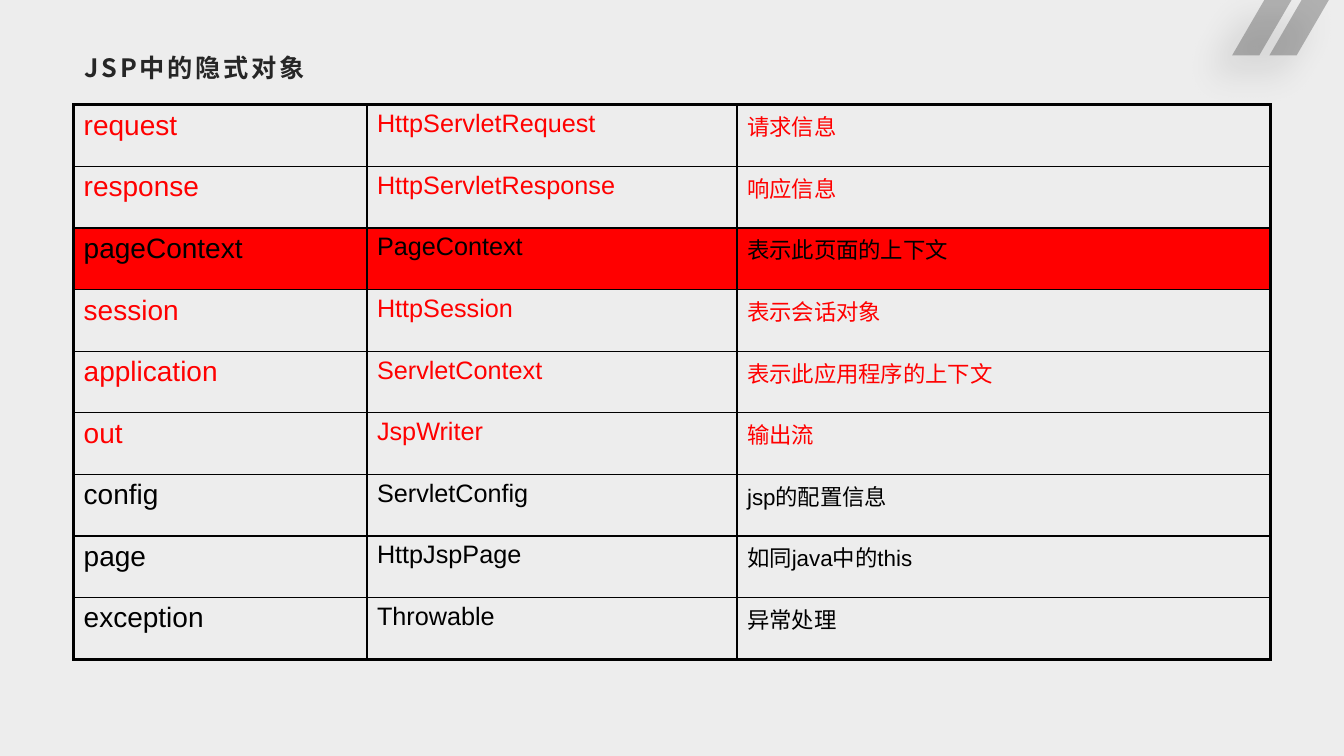
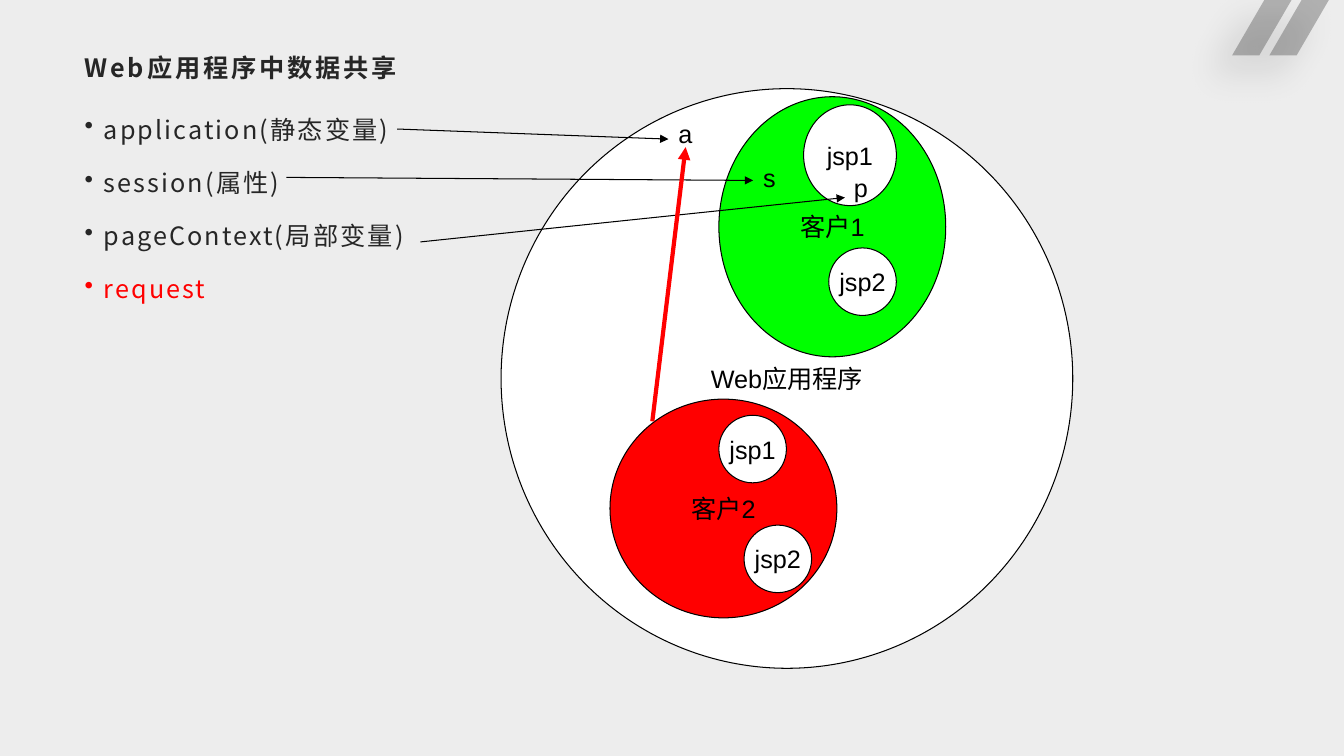
from pptx import Presentation
from pptx.dml.color import RGBColor
from pptx.enum.shapes import MSO_CONNECTOR, MSO_SHAPE
from pptx.enum.text import MSO_ANCHOR, PP_ALIGN
from pptx.oxml import parse_xml
from pptx.oxml.ns import nsdecls, qn
from pptx.util import Emu, Inches, Pt
from lxml.etree import SubElement

BLACK, WHITE, RED, GREEN = "000000", "FFFFFF", "FF0000", "00FF00"
DARK, BACKGROUND = "262626", "EDEDED"
LATIN, CHINESE = "Arial", "Noto Sans CJK SC"
MARGIN, CONTENT_TOP, CONTENT_WIDTH = 0.73, 1.04, 11.87


def color(hex_string):
    return RGBColor.from_string(hex_string)


def inches(*lengths):
    return [Inches(length) for length in lengths]


def write(paragraph, text, size=18, font=LATIN, fill=BLACK, bold=False, spacing=0):
    """Add a run; spacing is the gap between letters in points."""
    run = paragraph.add_run()
    run.text = text
    run.font.size = Pt(size)
    run.font.bold = bold
    run.font.color.rgb = color(fill)
    run.font.name = font
    properties = run.font._element
    properties.set("spc", str(int(spacing * 100)))
    properties.find(qn("a:latin")).addnext(
        parse_xml(f'<a:ea {nsdecls("a")} typeface="{CHINESE}"/>'))


def add_bullet(paragraph, indent):
    properties = paragraph._p.get_or_add_pPr()
    properties.set("marL", str(Inches(indent)))
    properties.set("indent", str(-Inches(indent)))
    SubElement(properties, qn("a:buChar"), char="•")


def set_border(cell, side, width):
    line = SubElement(cell._tc.get_or_add_tcPr(), qn(f"a:ln{side}"), w=str(Pt(width)))
    fill = SubElement(line, qn("a:solidFill"))
    SubElement(fill, qn("a:srgbClr"), val=BLACK)


class Deck:
    """Holds the presentation, its style and the current slide."""

    def __init__(self):
        self.presentation = Presentation()
        self.presentation.slide_width, self.presentation.slide_height = inches(13.33, 7.5)
        self.slide = None

    def add_slide(self, title):
        layout = self.presentation.slide_layouts[6]
        self.slide = self.presentation.slides.add_slide(layout)
        fill = self.slide.background.fill
        fill.solid()
        fill.fore_color.rgb = color(BACKGROUND)
        self.add_corner_stripes()
        frame = self.add_text_box(MARGIN, 0.48, CONTENT_WIDTH, 0.48, (0.11, 0.04, 0.08, 0.04))
        write(frame.paragraphs[0], title, font=CHINESE, fill=DARK, bold=True, spacing=2)

    def add_corner_stripes(self):
        """Draw two slanted, see-through stripes with a soft shadow."""
        builder = None
        for left in (12.22, 12.59):
            start, *others = [inches(left + dx, y) for dx, y in
                              ((0.32, 0), (0.59, 0), (0.27, 0.55), (0, 0.55))]
            if builder is None:
                builder = self.slide.shapes.build_freeform(*start)
            else:
                builder.move_to(*start)
            builder.add_line_segments(others)
        stripes = builder.convert_to_shape()
        stripes.fill.solid()
        stripes.fill.fore_color.rgb = color(DARK)
        stripes.line.fill.background()
        stripes.shadow.inherit = False
        properties = stripes._element.spPr
        SubElement(properties.find(f".//{qn('a:srgbClr')}"), qn("a:alpha"), val="30000")
        properties.find(qn("a:effectLst")).append(parse_xml(
            f'<a:outerShdw {nsdecls("a")} blurRad="{Pt(26)}" dist="{Pt(19)}" dir="{135 * 60000}"'
            f' algn="tr" rotWithShape="0"><a:srgbClr val="{BLACK}">'
            '<a:alpha val="40000"/></a:srgbClr></a:outerShdw>'))

    def add_text_box(self, left, top, width, height, insets=(0.1, 0.05, 0.1, 0.05), wrap=True):
        box = self.slide.shapes.add_textbox(*inches(left, top, width, height))
        frame = box.text_frame
        frame.word_wrap = wrap
        (frame.margin_left, frame.margin_top,
         frame.margin_right, frame.margin_bottom) = inches(*insets)
        return frame

    def add_label(self, text, left, top):
        frame = self.add_text_box(left, top, 0.34, 0.4, wrap=False)
        write(frame.paragraphs[0], text)

    def add_bullets(self, items):
        frame = self.add_text_box(MARGIN, CONTENT_TOP, CONTENT_WIDTH, 5.89, (0.11, 0, 0.09, 0))
        for index, (text, fill) in enumerate(items):
            paragraph = frame.add_paragraph() if index else frame.paragraphs[0]
            add_bullet(paragraph, 0.19)
            paragraph.line_spacing = 1.3
            paragraph.space_after = Pt(10)
            write(paragraph, text, font=CHINESE, fill=fill, spacing=1.5)

    def add_ellipse(self, text, left, top, width, height, fill=WHITE):
        ellipse = self.slide.shapes.add_shape(
            MSO_SHAPE.OVAL, *inches(left, top, width, height))
        ellipse.shadow.inherit = False
        ellipse.fill.solid()
        ellipse.fill.fore_color.rgb = color(fill)
        ellipse.line.color.rgb = color(BLACK)
        ellipse.line.width = Pt(0.75)
        frame = ellipse.text_frame
        frame.word_wrap = False
        frame.vertical_anchor = MSO_ANCHOR.MIDDLE
        frame.paragraphs[0].alignment = PP_ALIGN.CENTER
        write(frame.paragraphs[0], text)

    def add_arrow(self, start, end, fill=BLACK, width=0.75):
        arrow = self.slide.shapes.add_connector(
            MSO_CONNECTOR.STRAIGHT, *inches(*start, *end))
        arrow.line.color.rgb = color(fill)
        arrow.line.width = Pt(width)
        SubElement(arrow.line._get_or_add_ln(), qn("a:tailEnd"), type="triangle")
        SubElement(arrow._element.spPr, qn("a:effectLst"))

    def add_table(self, rows, column_widths, sizes, height):
        """Each row is its texts, its text colour and its fill (None for no fill)."""
        last_row, last_column = len(rows) - 1, len(column_widths) - 1
        table = self.slide.shapes.add_table(
            len(rows), len(column_widths),
            *inches(MARGIN, CONTENT_TOP, CONTENT_WIDTH, height)).table
        table.first_row = table.horz_banding = False
        for column, width in zip(table.columns, column_widths):
            column.width = Inches(width)
        for r, (texts, text_color, fill) in enumerate(rows):
            table.rows[r].height = Emu(Inches(height) // len(rows))
            for c, (text, size) in enumerate(zip(texts, sizes)):
                cell = table.cell(r, c)
                outer_sides = {"L": c == 0, "R": c == last_column,
                               "T": r == 0, "B": r == last_row}
                for side, outer in outer_sides.items():
                    set_border(cell, side, 2.25 if outer else 1)
                if fill:
                    cell.fill.solid()
                    cell.fill.fore_color.rgb = color(fill)
                else:
                    cell.fill.background()
                write(cell.text_frame.paragraphs[0], text, size=size, fill=text_color)


def add_implicit_objects(deck):
    deck.add_slide("JSP中的隐式对象")
    rows = [
        (("request", "HttpServletRequest", "请求信息"), RED, None),
        (("response", "HttpServletResponse", "响应信息"), RED, None),
        (("pageContext", "PageContext", "表示此页面的上下文"), BLACK, RED),
        (("session", "HttpSession", "表示会话对象"), RED, None),
        (("application", "ServletContext", "表示此应用程序的上下文"), RED, None),
        (("out", "JspWriter", "输出流"), RED, None),
        (("config", "ServletConfig", "jsp的配置信息"), BLACK, None),
        (("page", "HttpJspPage", "如同java中的this"), BLACK, None),
        (("exception", "Throwable", "异常处理"), BLACK, None),
    ]
    deck.add_table(rows, column_widths=(2.91, 3.67, 5.29), sizes=(20, 18, 16), height=5.5)


def add_data_sharing(deck):
    deck.add_slide("Web应用程序中数据共享")
    deck.add_bullets([("application(静态变量)", DARK), ("session(属性)", DARK),
                      ("pageContext(局部变量)", DARK), ("request", RED)])
    deck.add_ellipse("Web应用程序", 4.97, 0.88, 5.67, 5.75)
    deck.add_ellipse("客户1", 7.13, 0.96, 2.25, 2.58, GREEN)
    deck.add_ellipse("客户2", 6.05, 3.96, 2.25, 2.17, RED)
    deck.add_ellipse("jsp1", 7.97, 1.04, 0.92, 1)
    for page, left, top in (("jsp2", 8.22, 2.46), ("jsp1", 7.13, 4.12), ("jsp2", 7.38, 5.21)):
        deck.add_ellipse(page, left, top, 0.67, 0.67)
    for scope, left, top, start, end in (
            ("a", 6.63, 1.12, (3.94, 1.28), (6.63, 1.38)),
            ("s", 7.47, 1.56, (2.84, 1.76), (7.47, 1.79)),
            ("p", 8.37, 1.66, (4.17, 2.4), (8.38, 1.96))):
        deck.add_label(scope, left, top)
        deck.add_arrow(start, end)
    deck.add_arrow((6.47, 4.18), (6.8, 1.46), RED, 3)


def main():
    deck = Deck()
    add_implicit_objects(deck)
    add_data_sharing(deck)
    deck.presentation.save("out.pptx")


if __name__ == "__main__":
    main()
